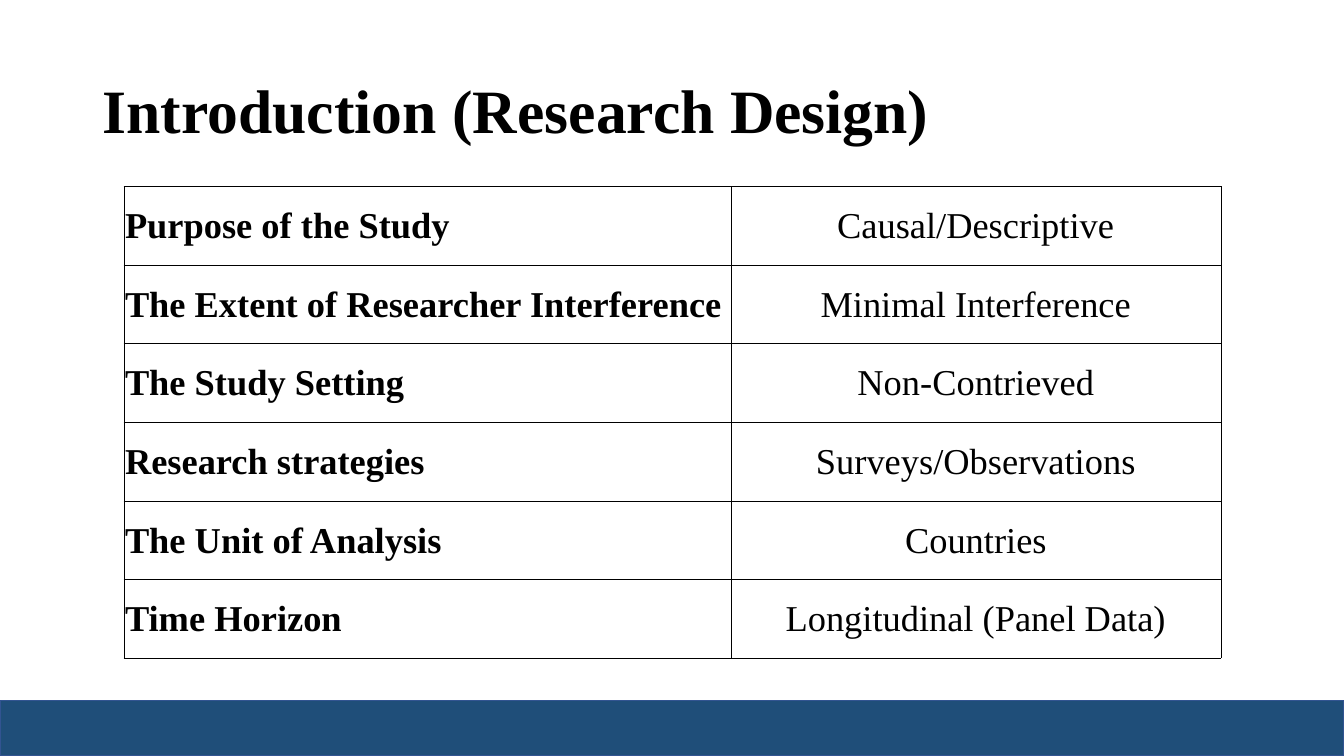
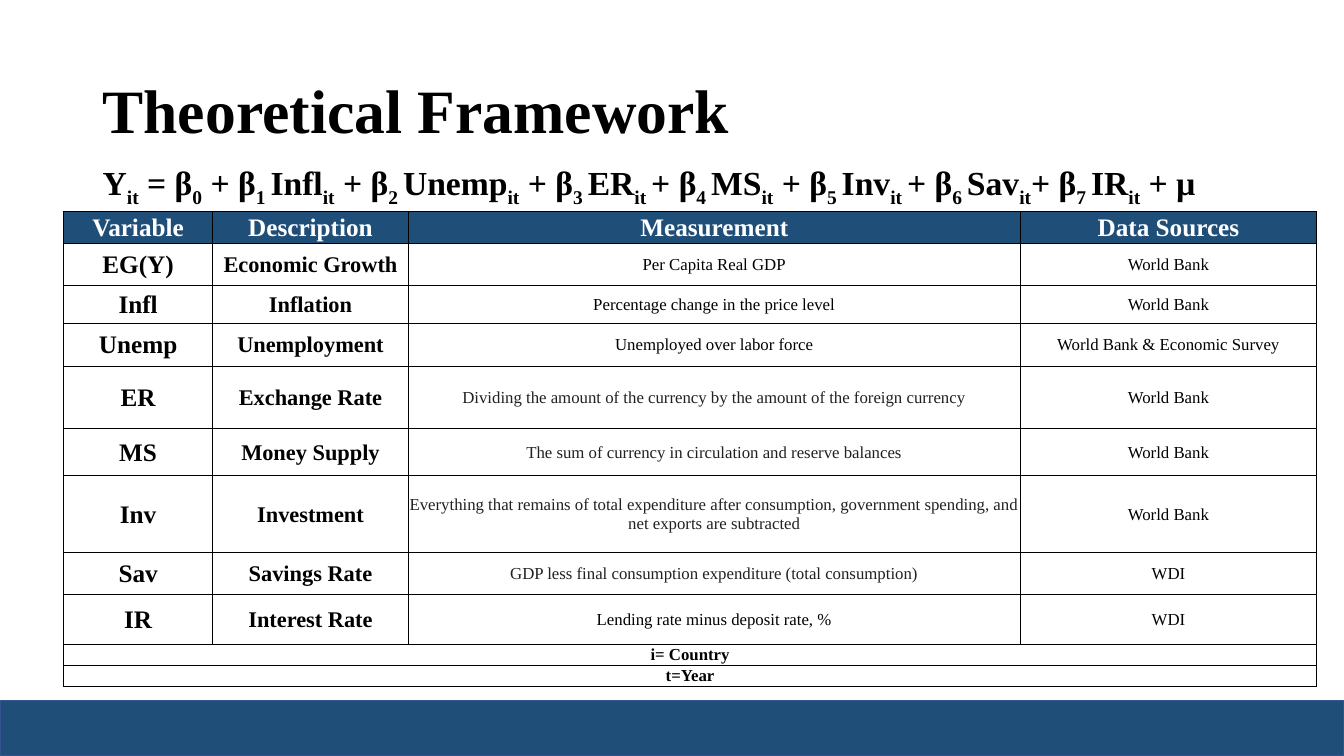
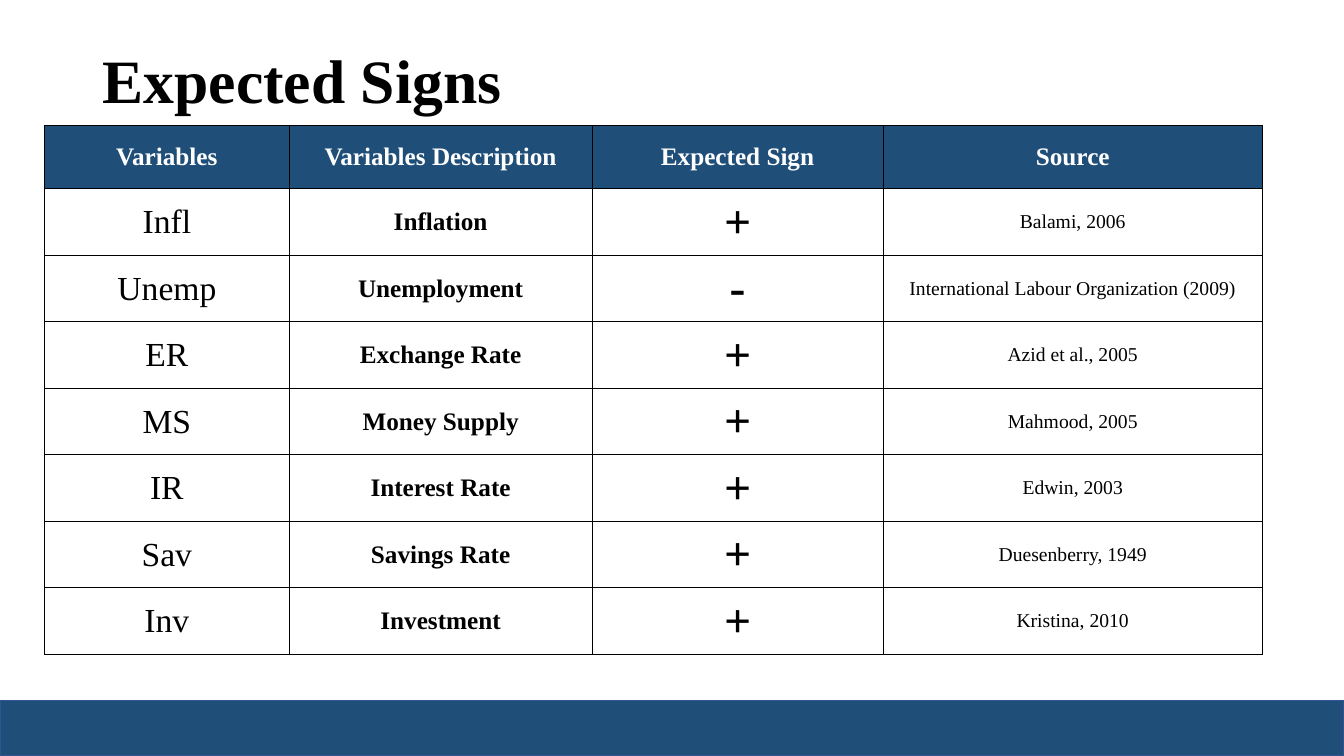
from lxml import etree
from pptx import Presentation
from pptx.dml.color import RGBColor
from pptx.enum.shapes import MSO_SHAPE
from pptx.enum.text import MSO_ANCHOR, PP_ALIGN
from pptx.oxml.ns import qn
from pptx.util import Inches, Pt

RECTANGLE = MSO_SHAPE.RECTANGLE
MIDDLE = MSO_ANCHOR.MIDDLE
LEFT, CENTER = PP_ALIGN.LEFT, PP_ALIGN.CENTER

# Shared look
FONT = "Times New Roman"
BLACK, WHITE, CHARCOAL = "000000", "FFFFFF", "202124"
BAND_BLUE, BAND_EDGE, HEADER_BLUE = "1F4E79", "325491", "1F4E78"
BLANK_LAYOUT = 6
TITLE_LEFT, TITLE_WIDTH = 0.92, 11.5
CELL_MARGINS = {"margin_left": 0.01, "margin_right": 0.01, "margin_top": 0.01, "margin_bottom": 0}
BORDER_SIDES = ("a:lnL", "a:lnR", "a:lnT", "a:lnB")
SUBSCRIPT = "-25000"


def style(size, bold=False, color=BLACK, align=CENTER):
    return {"size": size, "bold": bold, "color": color, "align": align}


HEADER = style(18, True, WHITE)

# Slide content
DESIGN_ROWS = [
    ("Purpose of the Study", "Causal/Descriptive"),
    ("The Extent of Researcher Interference", "Minimal Interference"),
    ("The Study Setting", "Non-Contrieved"),
    ("Research strategies", "Surveys/Observations"),
    ("The Unit of Analysis", "Countries"),
    ("Time Horizon", "Longitudinal (Panel Data)"),
]

# Every second piece between bars is a subscript
EQUATION = (
    "Y|it| = β|0| + β|1 |Infl|it| + β|2 |Unemp|it| + β|3 |ER|it |+ β|4 |MS|it"
    "| + β|5 |Inv|it |+ β|6 |Sav|it|+ β|7 |IR|it| + \u00b5"
)

FRAMEWORK_ROWS = [
    ("Variable", "Description", "Measurement", "Data Sources"),
    ("EG(Y)", "Economic Growth", "Per Capita Real GDP", "World Bank"),
    ("Infl", "Inflation", "Percentage change in the price level", "World Bank"),
    ("Unemp", "Unemployment", "Unemployed over labor force", "World Bank & Economic Survey"),
    ("ER", "Exchange Rate",
     "Dividing the amount of the currency by the amount of the foreign currency", "World Bank"),
    ("MS", "Money Supply", "The sum of currency in circulation and reserve balances", "World Bank"),
    ("Inv", "Investment",
     "Everything that remains of total expenditure after consumption, government spending, "
     "and net exports are subtracted", "World Bank"),
    ("Sav", "Savings Rate", "GDP less final consumption expenditure (total consumption)", "WDI"),
    ("IR", "Interest Rate", "Lending rate minus deposit rate, %", "WDI"),
    ("i= Country",),
    ("t=Year",),
]
FRAMEWORK_HEIGHTS = [0.27, 0.42, 0.38, 0.42, 0.62, 0.47, 0.76, 0.42, 0.49, 0.21, 0.21]
CHARCOAL_ROWS = range(4, 8)

SIGN_ROWS = [
    ("Variables", "Variables Description", "Expected Sign", "Source"),
    ("Infl", "Inflation", "+", "Balami, 2006"),
    ("Unemp", "Unemployment", "-", "International Labour Organization (2009)"),
    ("ER", "Exchange Rate", "+", "Azid et al., 2005"),
    ("MS", "Money Supply", "+", "Mahmood, 2005"),
    ("IR", "Interest Rate", "+", "Edwin, 2003"),
    ("Sav", "Savings Rate", "+", "Duesenberry, 1949"),
    ("Inv", "Investment", "+", "Kristina, 2010"),
]


def rgb(color):
    return RGBColor.from_string(color)


def add_span(para, text, look):
    """Add one run and give its paragraph the alignment of the look."""
    para.alignment = look["align"]
    span = para.add_run()
    span.text = text
    span.font.color.rgb = rgb(look["color"])
    formats = {"name": FONT, "size": Pt(look["size"]), "bold": look["bold"]}
    for name, value in formats.items():
        setattr(span.font, name, value)
    return span


def add_text_box(page, left, top, width, height):
    box = page.shapes.add_textbox(Inches(left), Inches(top), Inches(width), Inches(height))
    box.text_frame.word_wrap = True
    return box.text_frame


def add_page(deck, title, title_height=1.45):
    """Add a page with the bottom band and the title."""
    page = deck.slides.add_slide(deck.slide_layouts[BLANK_LAYOUT])
    band = page.shapes.add_shape(RECTANGLE, 0, Inches(6.95), deck.slide_width, Inches(0.55))
    band.shadow.inherit = False
    band.fill.solid()
    band.fill.fore_color.rgb = rgb(BAND_BLUE)
    band.line.color.rgb = rgb(BAND_EDGE)
    band.line.width = Pt(1)

    frame = add_text_box(page, TITLE_LEFT, 0.4, TITLE_WIDTH, title_height)
    frame.vertical_anchor = MIDDLE
    para = frame.paragraphs[0]
    para.line_spacing = 0.9
    add_span(para, title, style(44, True, align=LEFT))
    return page


def add_equation(page, equation):
    para = add_text_box(page, TITLE_LEFT, 1.56, 12.43, 0.91).paragraphs[0]
    for index, piece in enumerate(equation.split("|")):
        span = add_span(para, piece, style(24, True, align=LEFT))
        if index % 2:
            span.font._element.set("baseline", SUBSCRIPT)


def add_borders(cell):
    properties = cell._tc.get_or_add_tcPr()
    for side in BORDER_SIDES:
        line = etree.SubElement(properties, qn(side), w=str(Pt(0.5)))
        fill = etree.SubElement(line, qn("a:solidFill"))
        etree.SubElement(fill, qn("a:srgbClr"), val=BLACK)


def format_cell(cell, fill):
    add_borders(cell)
    cell.vertical_anchor = MIDDLE
    for name, value in CELL_MARGINS.items():
        setattr(cell, name, Inches(value))
    if fill:
        cell.fill.solid()
        cell.fill.fore_color.rgb = rgb(fill)
    else:
        cell.fill.background()


def add_grid(page, left, top, widths, heights, rows, look_for, has_header=True):
    """Add a bordered table; a row with a single text spans all columns."""
    table = page.shapes.add_table(
        len(rows), len(widths), Inches(left), Inches(top),
        Inches(sum(widths)), Inches(sum(heights))).table
    table.first_row = table.horz_banding = False
    for column, width in zip(table.columns, widths):
        column.width = Inches(width)
    for row, height in zip(table.rows, heights):
        row.height = Inches(height)

    for row_index, texts in enumerate(rows):
        is_header = has_header and row_index == 0
        for column_index in range(len(widths)):
            format_cell(table.cell(row_index, column_index), HEADER_BLUE if is_header else None)
        if len(texts) == 1:
            table.cell(row_index, 0).merge(table.cell(row_index, len(widths) - 1))
        for column_index, text in enumerate(texts):
            look = HEADER if is_header else look_for(row_index, column_index)
            para = table.cell(row_index, column_index).text_frame.paragraphs[0]
            add_span(para, text, look)


def design_look(row, column):
    return (style(26, True, align=LEFT), style(26))[column]


def framework_look(row, column):
    if len(FRAMEWORK_ROWS[row]) == 1:
        return style(12, True)
    measurement_color = CHARCOAL if row in CHARCOAL_ROWS else BLACK
    return (style(18, True), style(16, True), style(12, color=measurement_color), style(12))[column]


def sign_look(row, column):
    return (style(24), style(18, True), style(34, True), style(14))[column]


def main():
    deck = Presentation()
    deck.slide_width, deck.slide_height = Inches(13.33), Inches(7.5)

    # Research design
    page = add_page(deck, "Introduction (Research Design)")
    add_grid(page, 1.23, 1.85, [6.02, 4.86], [0.78] * 6, DESIGN_ROWS, design_look, has_header=False)

    # Model and variables
    page = add_page(deck, "Theoretical Framework")
    add_equation(page, EQUATION)
    add_grid(page, 0.63, 2.1, [1.48, 1.94, 6.07, 2.94], FRAMEWORK_HEIGHTS,
             FRAMEWORK_ROWS, framework_look)

    # Expected signs
    page = add_page(deck, "Expected Signs", title_height=0.85)
    add_grid(page, 0.44, 1.24, [2.43, 3, 2.89, 3.76], [0.63] + [0.66] * 7, SIGN_ROWS, sign_look)

    deck.save("out.pptx")


main()
